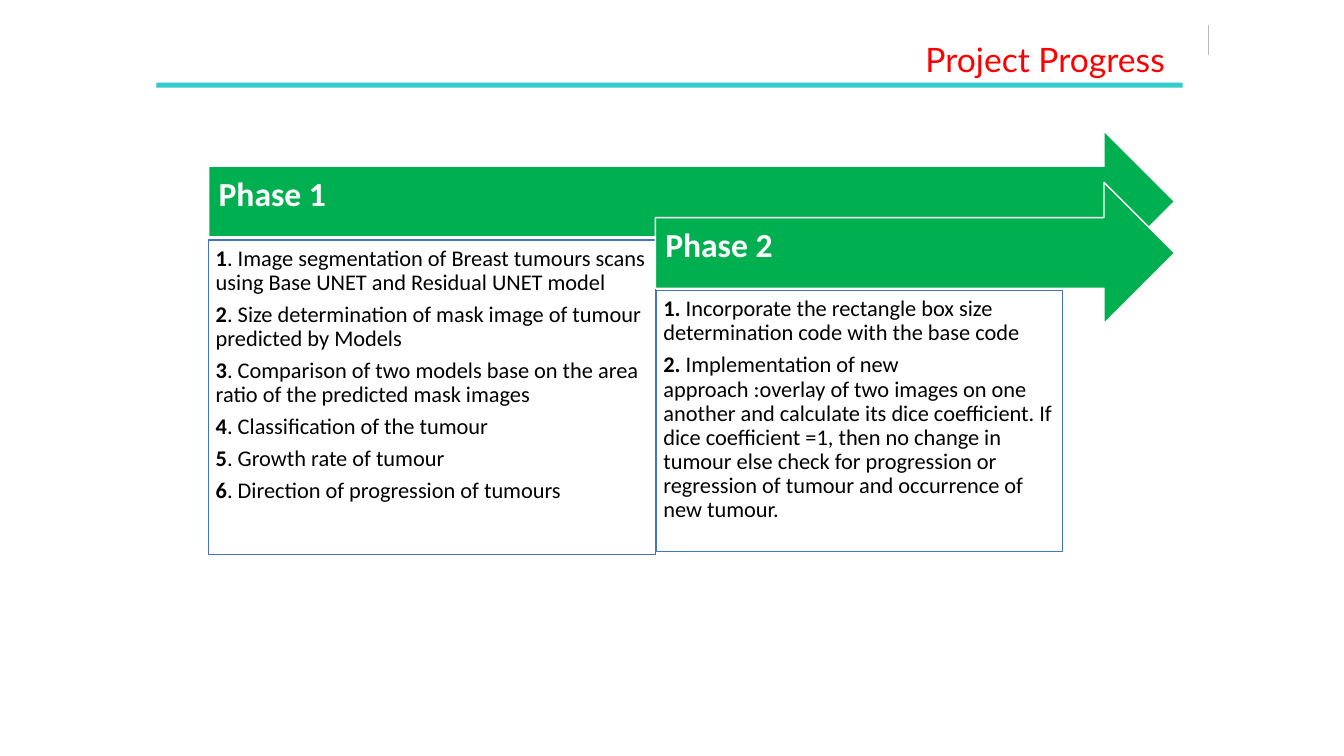
from pptx import Presentation
from pptx.dml.color import RGBColor
from pptx.enum import shapes, text
from pptx.oxml.ns import qn
from pptx.util import Inches, Pt
from lxml import etree

TITLE = "Project Progress"
# Each item is (bold lead, rest of the sentence).
PHASES = [
    {"name": "Phase 1", "arrow": (2.07, 1.3), "box": (2.07, 2.38, 4.43, 3.12), "items": [
        ("1", ". Image segmentation of Breast tumours scans using Base UNET and Residual UNET model"),
        ("2", ". Size determination of mask image of tumour predicted by Models"),
        ("3", ". Comparison of two models base on the area ratio of the predicted mask images"),
        ("4", ". Classification of the tumour"),
        ("5", ". Growth rate of tumour"),
        ("6", ". Direction of progression of tumours"),
    ]},
    {"name": "Phase 2", "arrow": (6.5, 1.81), "box": (6.51, 2.88, 4.03, 2.59), "items": [
        ("1. ", "Incorporate the rectangle box size determination code with the base code"),
        ("2. ", "Implementation of new approach :overlay of two images on one another and "
                "calculate its dice coefficient. If dice coefficient =1, then no change in "
                "tumour else check for progression or regression of tumour and occurrence "
                "of new tumour."),
    ]},
]
ARROW_TIP, ARROW_HEIGHT = 11.65, 1.4

THEME = {
    "title": "FF0000", "rule": "33CCCC", "tick": "B7B7B7", "arrow": "00B050",
    "white": "FFFFFF", "border": "4472C4", "body": "000000",
    "title_font": "Lato", "font": "Calibri", "heading_size": 24, "body_size": 16,
}


def rgb(key):
    return RGBColor.from_string(THEME[key])


def write(shape, paragraphs, *, size, color, font=THEME["font"], align=text.PP_ALIGN.LEFT,
          anchor=text.MSO_ANCHOR.TOP, insets=(0.1, 0.05, 0.1, 0.05), line=None, after=0):
    """Fill a shape with paragraphs, each a list of (words, bold) runs."""
    frame = shape.text_frame
    frame.word_wrap = True
    frame.vertical_anchor = anchor
    (frame.margin_left, frame.margin_top,
     frame.margin_right, frame.margin_bottom) = map(Inches, insets)
    for index, runs in enumerate(paragraphs):
        paragraph = frame.add_paragraph() if index else frame.paragraphs[0]
        paragraph.alignment = align
        paragraph.line_spacing = line
        paragraph.space_after = Pt(after * size)
        for words, bold in runs:
            run = paragraph.add_run()
            run.text = words
            run.font.name, run.font.size, run.font.bold = font, Pt(size), bold
            run.font.color.rgb = rgb(color)


def add_block(slide, kind, place, fill, border=None):
    block = slide.shapes.add_shape(kind, *map(Inches, place))
    block.shadow.inherit = False
    block.fill.solid()
    block.fill.fore_color.rgb = rgb(fill)
    if border:
        block.line.color.rgb = rgb(border)
        block.line.width = Pt(1)
    else:
        block.line.fill.background()
    return block


def add_header(slide):
    tick = slide.shapes.add_connector(
        shapes.MSO_CONNECTOR.STRAIGHT, *map(Inches, (11.99, 0.25, 11.99, 0.55)))
    tick.line.color.rgb = rgb("tick")
    tick.line.width = Pt(0.75)
    etree.SubElement(tick._element.spPr, qn("a:effectLst"))
    add_block(slide, shapes.MSO_SHAPE.RECTANGLE, (1.55, 0.82, 10.18, 0.05), "rule")
    title = slide.shapes.add_textbox(*map(Inches, (2.07, 0.34, 9.58, 0.5)))
    write(title, [[(TITLE, False)]], size=THEME["heading_size"], color="title",
          font=THEME["title_font"], align=text.PP_ALIGN.RIGHT)


def add_phase(slide, phase):
    left, top = phase["arrow"]
    arrow = add_block(slide, shapes.MSO_SHAPE.RIGHT_ARROW,
                      (left, top, ARROW_TIP - left, ARROW_HEIGHT), "arrow", "white")
    write(arrow, [[(phase["name"], True)]], size=THEME["heading_size"], color="white",
          anchor=text.MSO_ANCHOR.MIDDLE, insets=(0.1, 0.1, 0.28, 0.22), line=0.9, after=0.35)
    box = add_block(slide, shapes.MSO_SHAPE.RECTANGLE, phase["box"], "white", "border")
    write(box, [[(lead, True), (rest, False)] for lead, rest in phase["items"]],
          size=THEME["body_size"], color="body", insets=(0.07,) * 4, line=0.9, after=0.35)


def main():
    deck = Presentation()
    deck.slide_width, deck.slide_height = Inches(13.33), Inches(7.5)
    slide = deck.slides.add_slide(deck.slide_layouts[6])
    add_header(slide)
    for phase in PHASES:
        add_phase(slide, phase)
    deck.save("out.pptx")


if __name__ == "__main__":
    main()
